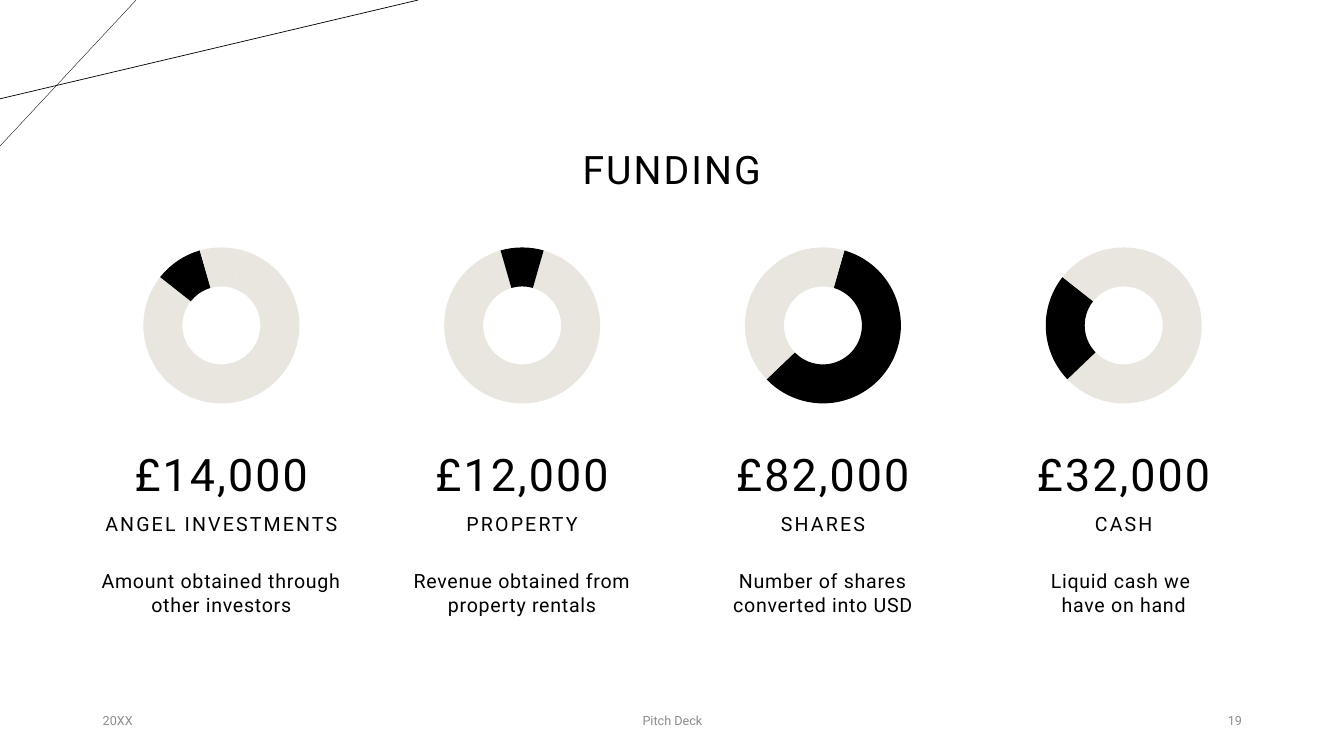
import pptx
import pptx.chart.data
import pptx.dml.color
import pptx.enum.chart
import pptx.enum.shapes
import pptx.enum.text
import pptx.oxml
import pptx.oxml.ns
import pptx.util
from pptx.util import Cm

FONT = "Roboto"
COLOURS = {"ink": "000000", "sand": "E9E6DF", "grey": "8C8C8C"}
LEFT, CENTRE, RIGHT = (
    pptx.enum.text.PP_ALIGN.LEFT,
    pptx.enum.text.PP_ALIGN.CENTER,
    pptx.enum.text.PP_ALIGN.RIGHT,
)
TOP, MIDDLE, BOTTOM = (
    pptx.enum.text.MSO_ANCHOR.TOP,
    pptx.enum.text.MSO_ANCHOR.MIDDLE,
    pptx.enum.text.MSO_ANCHOR.BOTTOM,
)

# Funding split in percent; each column highlights one share of it
SHARES = [59, 23, 10, 9]
COLUMNS = [
    ("£14,000", "ANGEL INVESTMENTS", "Amount obtained through other investors", 2),
    ("£12,000", "PROPERTY", "Revenue obtained from property rentals", 3),
    ("£82,000", "SHARES", "Number of shares converted into USD", 0),
    ("£32,000", "CASH", """Liquid cash we 
have on hand""", 1),
]
COLUMN_LEFT, COLUMN_WIDTH, COLUMN_PITCH = 2.34, 6.48, 7.58
CHART_WIDTH, CHART_HEIGHT, RING_SIZE = 5.16, 4.62, 3.93

# Text styles: frame, paragraph and font settings
FLUSH = {"margin_left": 0, "margin_right": 0}
HEADING = {"line_spacing": 0.9, "space_before": pptx.util.Pt(10)}
STYLES = {
    "title": dict(size=28, spacing=1.5, frame={"vertical_anchor": MIDDLE},
                  paragraph={"line_spacing": 0.9}),
    "amount": dict(size=32, spacing=1.5, paragraph=HEADING,
                   frame={"vertical_anchor": BOTTOM, **FLUSH}),
    "label": dict(size=14, spacing=1.5, paragraph=HEADING,
                  frame={"vertical_anchor": BOTTOM, **FLUSH}),
    "detail": dict(size=14, spacing=0.5, frame={"vertical_anchor": TOP, **FLUSH},
                   paragraph={"space_before": pptx.util.Pt(10)}),
    "footer": dict(size=9, spacing=0, colour="grey", paragraph={},
                   frame={"vertical_anchor": MIDDLE}),
}


def colour(name):
    return pptx.dml.color.RGBColor.from_string(COLOURS[name])


def apply(target, values):
    for name, value in values.items():
        setattr(target, name, value)


def add_text(page, text, left, top, width, height, style_name, align=CENTRE):
    style = STYLES[style_name]
    box = page.shapes.add_textbox(Cm(left), Cm(top), Cm(width), Cm(height))
    apply(box.text_frame, {"word_wrap": True, **style["frame"]})
    para = box.text_frame.paragraphs[0]
    apply(para, {"alignment": align, **style["paragraph"]})
    for number, line in enumerate(text.splitlines()):
        if number:
            para.add_line_break()
        span = para.add_run()
        span.text = line
        apply(span.font, {"name": FONT, "size": pptx.util.Pt(style["size"])})
        span.font.color.rgb = colour(style.get("colour", "ink"))
        if style["spacing"]:
            span.font._element.set("spc", str(int(style["spacing"] * 100)))


def add_line(page, start_x, end_y, weight):
    line = page.shapes.add_connector(
        pptx.enum.shapes.MSO_CONNECTOR.STRAIGHT, Cm(start_x), Cm(0), Cm(0), Cm(end_y))
    line.line.color.rgb = colour("ink")
    line.line.width = pptx.util.Pt(weight)
    properties = line._element.spPr
    properties.append(pptx.oxml.parse_xml(
        f"<a:effectLst {pptx.oxml.ns.nsdecls('a')}/>"))


def centre_ring(chart):
    """Fix the ring's diameter and centre it in the chart frame."""
    wide, high = RING_SIZE / CHART_WIDTH, RING_SIZE / CHART_HEIGHT
    sizes = {"x": (1 - wide) / 2, "y": (1 - high) / 2, "w": wide, "h": high}
    parts = '<c:layoutTarget val="inner"/><c:xMode val="edge"/><c:yMode val="edge"/>'
    parts += "".join(f'<c:{key} val="{value:.3f}"/>' for key, value in sizes.items())
    layout = pptx.oxml.parse_xml(
        f"<c:layout {pptx.oxml.ns.nsdecls('c')}>"
        f"<c:manualLayout>{parts}</c:manualLayout></c:layout>")
    area = chart._chartSpace.chart.plotArea
    for old in area.xpath("c:layout"):
        area.remove(old)
    area.insert(0, layout)


def add_ring(page, left, top, highlighted):
    data = pptx.chart.data.CategoryChartData()
    data.categories = [str(number + 1) for number in range(len(SHARES))]
    data.add_series("Series 1", SHARES)
    chart = page.shapes.add_chart(
        pptx.enum.chart.XL_CHART_TYPE.DOUGHNUT, Cm(left), Cm(top),
        Cm(CHART_WIDTH), Cm(CHART_HEIGHT), data).chart
    apply(chart, {"has_legend": False, "has_title": False})
    apply(chart.font, {"name": FONT, "size": pptx.util.Pt(10)})
    chart.font.color.rgb = colour("ink")
    plot = chart.plots[0]
    plot.vary_by_categories = False
    for number in range(len(SHARES)):
        wedge = plot.series[0].points[number].format
        wedge.fill.solid()
        wedge.fill.fore_color.rgb = colour("ink" if number == highlighted else "sand")
        wedge.line.fill.background()
    for tag, value in {"firstSliceAng": 16, "holeSize": 80}.items():
        plot._element.xpath(f"c:{tag}")[0].set("val", str(value))
    centre_ring(chart)


def add_column(page, left, amount, label, detail, highlighted):
    add_ring(page, left + (COLUMN_WIDTH - CHART_WIDTH) / 2, 5.89, highlighted)
    add_text(page, amount, left, 10.52, COLUMN_WIDTH, 2.24, "amount")
    add_text(page, label, left, 12.4, COLUMN_WIDTH, 1.22, "label")
    add_text(page, detail, left, 14.22, COLUMN_WIDTH, 2.36, "detail")


def main():
    deck = pptx.Presentation()
    apply(deck, {"slide_width": Cm(33.87), "slide_height": Cm(19.05)})
    page = deck.slides.add_slide(deck.slide_layouts[6])

    # Corner lines and title
    add_line(page, 3.43, 3.68, 0.25)
    add_line(page, 10.54, 2.49, 0.5)
    add_text(page, "FUNDING", 5.23, 2.49, 23.4, 3.68, "title")

    # Four funding sources
    for number, column in enumerate(COLUMNS):
        add_column(page, COLUMN_LEFT + number * COLUMN_PITCH, *column)

    # Footer
    for text, left, width, align in (
        ("20XX", 2.34, 7.62, LEFT),
        ("Pitch Deck", 11.23, 11.43, CENTRE),
        ("19", 23.93, 7.62, RIGHT),
    ):
        add_text(page, text, left, 17.65, width, 1.02, "footer", align)

    deck.save("out.pptx")


if __name__ == "__main__":
    main()
